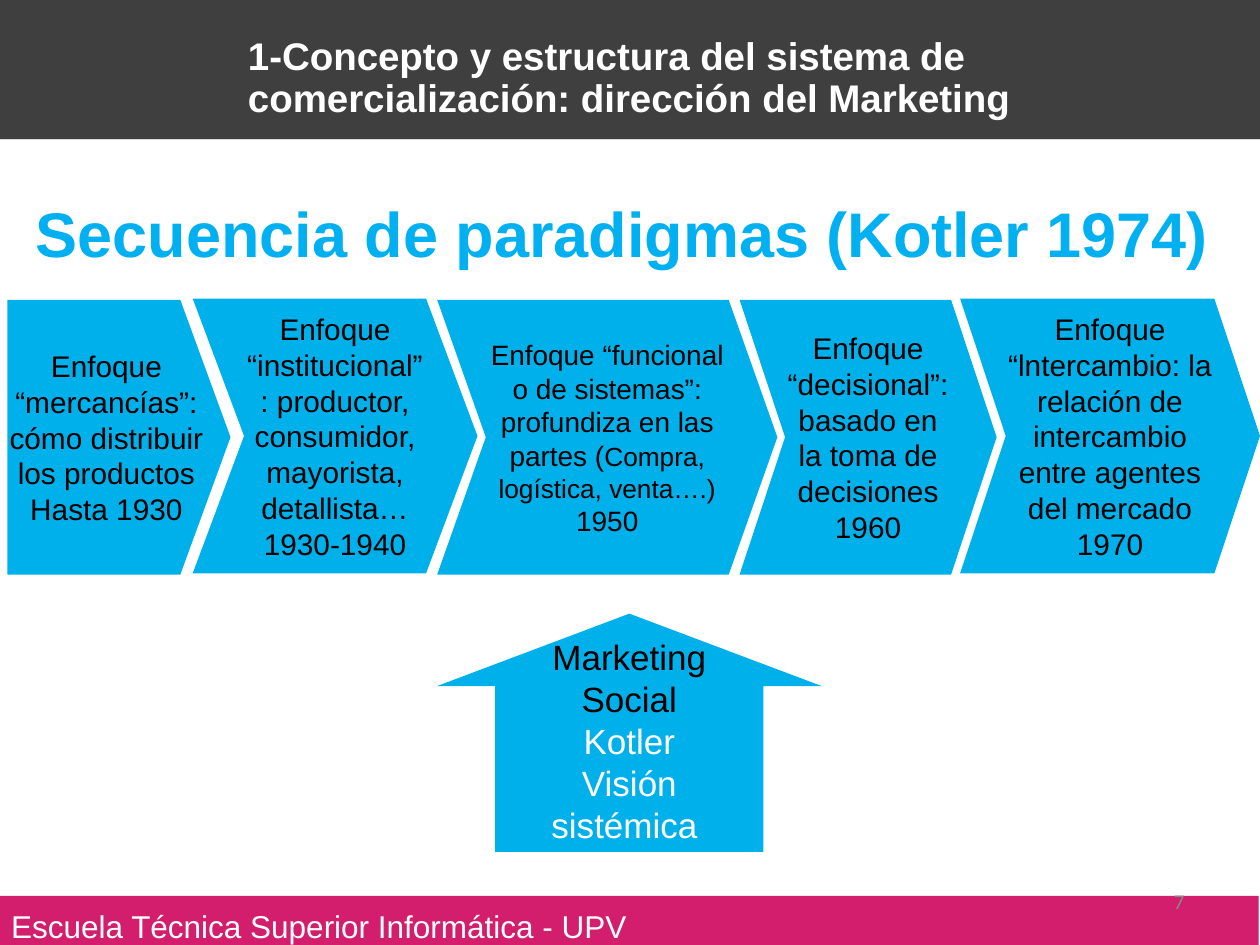
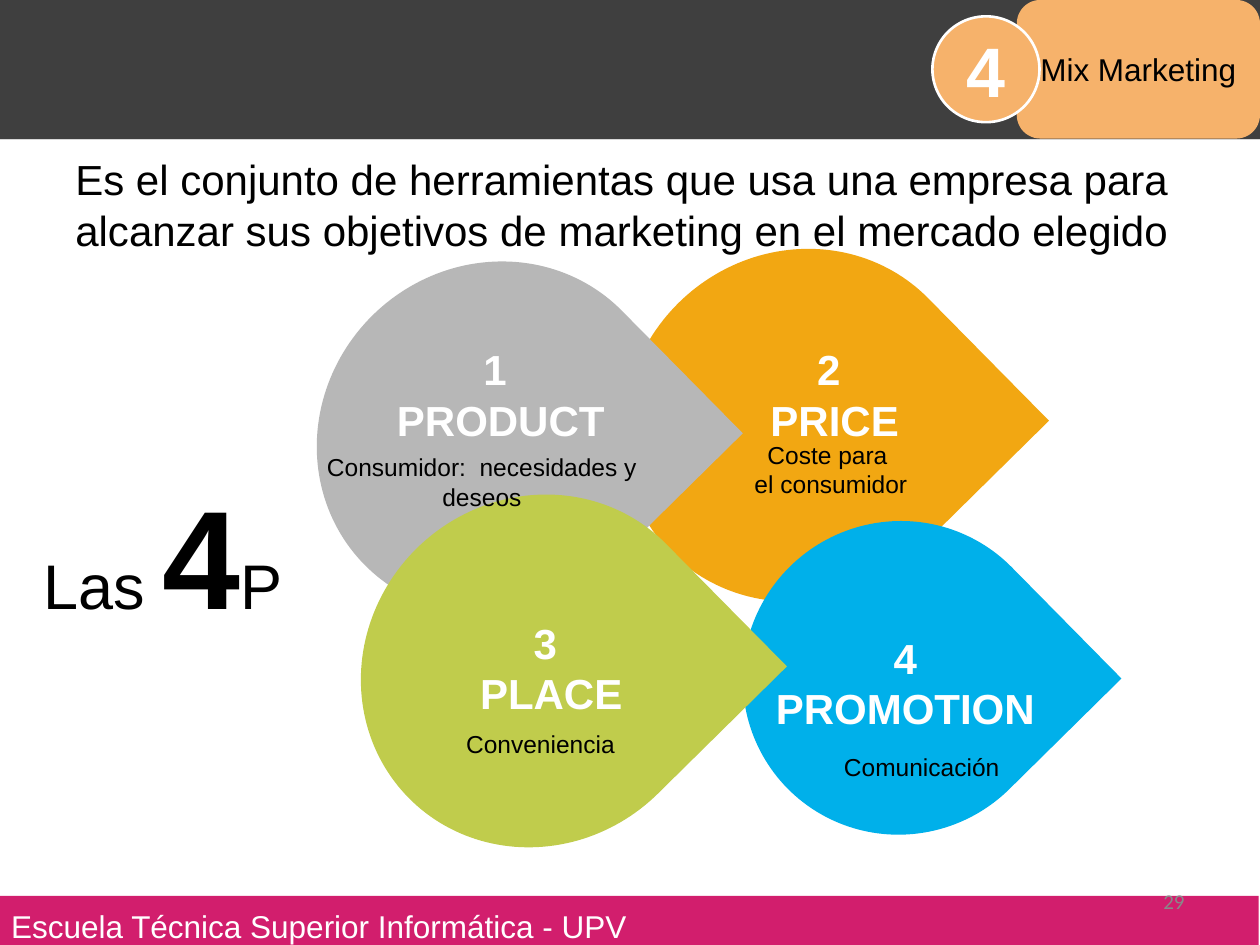
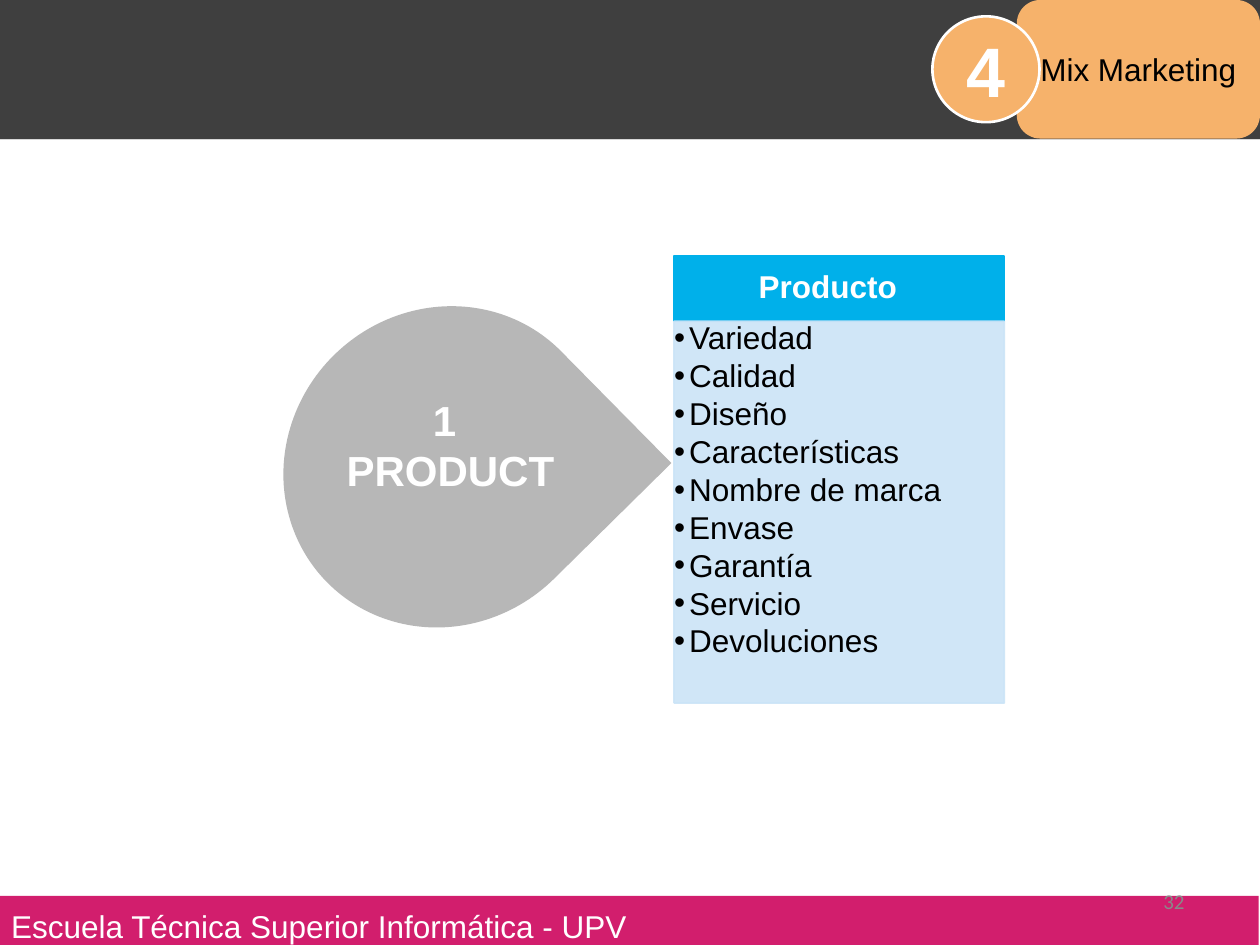
from dataclasses import dataclass
from typing import Any, NamedTuple, Optional

from lxml.etree import SubElement
from pptx import Presentation
from pptx.dml.color import RGBColor
from pptx.enum.shapes import MSO_CONNECTOR, MSO_SHAPE
from pptx.enum.text import MSO_ANCHOR, PP_ALIGN
from pptx.oxml.ns import qn
from pptx.util import Inches, Pt

# Grid: 100 columns by 75 rows
SLIDE_WIDTH, SLIDE_HEIGHT = Inches(10), Inches(7.5)
COLUMN, ROW = SLIDE_WIDTH / 100, SLIDE_HEIGHT / 75

COLORS = {
    "band": "3F3F3F", "rule": "D7D7D7", "footer": "D21E6D", "page": "898989",
    "white": "FFFFFF", "black": "000000", "title": "00B0F0", "blue": "00B0EA",
    "orange": "F2A712", "gray": "B7B7B7", "green": "C0CC4C",
    "badge": "F6B26B", "pale": "CBE4F7",
}


class Box(NamedTuple):
    left: float
    top: float
    width: float
    height: float

    def emu(self) -> tuple[int, ...]:
        units = (COLUMN, ROW, COLUMN, ROW)
        return tuple(round(value * unit) for value, unit in zip(self, units))


class Run(NamedTuple):
    text: str
    size: float
    color: str = "black"
    bold: bool = False
    font: str = "Arial"


Paragraph = list[Run]


@dataclass(frozen=True)
class TextStyle:
    align: Any = PP_ALIGN.CENTER
    anchor: Any = MSO_ANCHOR.TOP
    insets: tuple[float, float, float, float] = (1, 0.5, 1, 0.5)
    line_spacing: Optional[float] = None
    space_between: float = 0
    bullet: str = ""


CENTERED = TextStyle()
MIDDLE = TextStyle(anchor=MSO_ANCHOR.MIDDLE)
TIGHT = TextStyle(anchor=MSO_ANCHOR.MIDDLE, insets=(0, 0, 0, 0))
LEFT = TextStyle(align=PP_ALIGN.LEFT)
HEADING = TextStyle(anchor=MSO_ANCHOR.MIDDLE, line_spacing=0.9)


@dataclass(frozen=True)
class Stage:
    left: float
    top: float
    width: float
    point: float
    text: Paragraph
    years: Run
    outline: Any = MSO_SHAPE.CHEVRON


@dataclass(frozen=True)
class Drop:
    box: Box
    color: str


@dataclass(frozen=True)
class Label:
    box: Box
    number: str
    name: str


def rgb(name: str) -> RGBColor:
    return RGBColor.from_string(COLORS[name])


def apply_format(target: Any, values: dict[str, Any]) -> None:
    for name, value in values.items():
        setattr(target, name, value)


# Text
def add_bullet(paragraph: Any, symbol: str) -> None:
    properties = paragraph._p.get_or_add_pPr()
    properties.set("marL", str(round(1.2 * COLUMN)))
    properties.set("indent", str(round(-1.5 * COLUMN)))
    tint = SubElement(properties, qn("a:buClr"))
    SubElement(tint, qn("a:srgbClr")).set("val", COLORS["black"])
    SubElement(properties, qn("a:buFont")).set("typeface", "Arial")
    SubElement(properties, qn("a:buChar")).set("char", symbol)
    paragraph.level = 1


def write(frame: Any, paragraphs: list[Paragraph], style: TextStyle) -> None:
    left, top, right, bottom = style.insets
    apply_format(frame, {
        "word_wrap": True, "vertical_anchor": style.anchor,
        "margin_left": round(left * COLUMN), "margin_top": round(top * ROW),
        "margin_right": round(right * COLUMN), "margin_bottom": round(bottom * ROW),
    })
    for index, runs in enumerate(paragraphs):
        paragraph = frame.add_paragraph() if index else frame.paragraphs[0]
        if style.bullet:
            add_bullet(paragraph, style.bullet)
        apply_format(paragraph, {"alignment": style.align, "line_spacing": style.line_spacing})
        if index and style.space_between:
            paragraph.space_before = Pt(style.space_between)
        for run in runs:
            for number, line in enumerate(run.text.split("\n")):
                if number:
                    paragraph.add_line_break()
                piece = paragraph.add_run()
                piece.text = line
                apply_format(piece.font, {"size": Pt(run.size), "bold": run.bold, "name": run.font})
                piece.font.color.rgb = rgb(run.color)


def add_text(slide: Any, box: Box, paragraphs: list[Paragraph], style: TextStyle = CENTERED) -> None:
    write(slide.shapes.add_textbox(*box.emu()).text_frame, paragraphs, style)


# Shapes
def add_figure(slide: Any, outline: Any, box: Box, fill: str, adjustments: tuple[float, ...] = (),
               line: str = "", line_width: float = 1, rotation: float = 0) -> Any:
    figure = slide.shapes.add_shape(outline, *box.emu())
    figure.shadow.inherit = False
    figure.rotation = rotation
    figure.fill.solid()
    figure.fill.fore_color.rgb = rgb(fill)
    if line:
        figure.line.color.rgb = rgb(line)
        figure.line.width = Pt(line_width)
    else:
        figure.line.fill.background()
    for index, value in enumerate(adjustments):
        figure.adjustments[index] = value
    return figure


def set_opacity(figure: Any, percent: int) -> None:
    for tint in figure._element.spPr.iter(qn("a:srgbClr")):
        SubElement(tint, qn("a:alpha")).set("val", str(percent * 1000))


def add_drop(slide: Any, drop: Drop) -> None:
    add_figure(slide, MSO_SHAPE.TEAR, drop.box, drop.color, (1,), rotation=45.4)


def add_label(slide: Any, label: Label) -> None:
    add_text(slide, label.box, [[Run(text, 24, "white", True)] for text in (label.number, label.name)])


# Shared parts of every slide
def add_base(deck: Any, page: str) -> Any:
    slide = deck.slides.add_slide(deck.slide_layouts[6])
    slide.background.fill.solid()
    slide.background.fill.fore_color.rgb = rgb("white")
    add_figure(slide, MSO_SHAPE.RECTANGLE, Box(0, 0, 100, 11.1), "band")
    rule = slide.shapes.add_connector(
        MSO_CONNECTOR.STRAIGHT, 0, round(11.1 * ROW), SLIDE_WIDTH, round(11.1 * ROW))
    rule.line.color.rgb = rgb("rule")
    rule.line.width = Pt(0.75)
    SubElement(rule._element.spPr, qn("a:effectLst"))
    footer = add_figure(slide, MSO_SHAPE.RECTANGLE, Box(-0.1, 71.1, 100, 4.7), "footer")
    write(footer.text_frame, [[Run("Escuela Técnica Superior Informática - UPV", 18, "white")]],
          TextStyle(align=PP_ALIGN.LEFT, anchor=MSO_ANCHOR.MIDDLE, insets=(1, 1, 1, 1)))
    add_text(slide, Box(71.7, 69.5, 23.3, 4), [[Run(page, 12, "page", font="Calibri")]],
             TextStyle(align=PP_ALIGN.RIGHT, anchor=MSO_ANCHOR.MIDDLE))
    return slide


def add_section_badge(slide: Any) -> None:
    tab = add_figure(slide, MSO_SHAPE.ROUNDED_RECTANGLE, Box(80.7, 0, 19.3, 11), "badge", (0.17,))
    write(tab.text_frame, [[Run("Mix Marketing", 18)]], TIGHT)
    disc = add_figure(slide, MSO_SHAPE.OVAL, Box(74, 1.3, 8.5, 8.4), "badge",
                      line="white", line_width=1.5)
    write(disc.text_frame, [[Run("4", 40, "white", True)]], MIDDLE)


# Paradigm sequence
STAGES = [
    Stage(0.6, 23.8, 17.7, 0.225, [Run("Enfoque “mercancías”: cómo distribuir los productos", 17)],
          Run("Hasta 1930", 17), MSO_SHAPE.PENTAGON),
    Stage(15.3, 23.7, 22.6, 0.187,
          [Run("Enfoque “institucional”: productor, consumidor, mayorista, detallista…", 17)],
          Run("1930-1940", 17)),
    Stage(34.7, 23.8, 27, 0.177,
          [Run("Enfoque “funcional o de sistemas”: profundiza en las partes (", 16),
           Run("Compra, logística, venta….)", 15)],
          Run("1950", 16)),
    Stage(58.7, 23.8, 20.4, 0.177,
          [Run("Enfoque “decisional”: basado en la toma de decisiones", 17)], Run("1960", 17)),
    Stage(76.2, 23.7, 23.8, 0.166,
          [Run("Enfoque “lntercambio: la relación de intercambio entre agentes del mercado", 17)],
          Run("1970", 17)),
]


def build_paradigms(deck: Any) -> None:
    slide = add_base(deck, "7")
    add_text(slide, Box(18.7, 0.3, 75.3, 12),
             [[Run("1-Concepto y estructura del sistema de comercialización: dirección del Marketing",
                   22, "white", True)]],
             TextStyle(align=PP_ALIGN.LEFT, anchor=MSO_ANCHOR.MIDDLE, line_spacing=0.9))
    add_text(slide, Box(0, 12.9, 98.8, 11.8),
             [[Run("Secuencia de paradigmas (Kotler 1974)", 36, "title", True)]], HEADING)
    for stage in STAGES:
        arrow = add_figure(slide, stage.outline, Box(stage.left, stage.top, stage.width, 21.8),
                           "blue", (stage.point,))
        write(arrow.text_frame, [stage.text, [stage.years]], TIGHT)
    social = add_figure(slide, MSO_SHAPE.UP_ARROW, Box(34.7, 48.7, 30.5, 18.9), "blue", (0.698, 0.304))
    write(social.text_frame,
          [[Run("Marketing Social", 20)], [Run("Kotler", 20, "white")],
           [Run("Visión sistémica ", 20, "white")]],
          TextStyle(anchor=MSO_ANCHOR.BOTTOM))


# The four Ps
DROPS = [
    Drop(Box(49.8, 19.4, 27.3, 28.7), "orange"),
    Drop(Box(59, 41.3, 24.8, 25), "blue"),
    Drop(Box(25.5, 20.4, 27.3, 28.7), "gray"),
    Drop(Box(29, 38.9, 27.3, 28.7), "green"),
]
LABELS = [
    Label(Box(29.1, 26.8, 21.3, 9.5), "1 ", "PRODUCT"),
    Label(Box(55.6, 26.8, 21.3, 9.5), "2 ", "PRICE"),
    Label(Box(33.1, 48.5, 21.3, 9.5), "3 ", "PLACE"),
    Label(Box(57.6, 49.7, 28.5, 9.5), "4", "PROMOTION"),
]
CONSUMER_VIEWS = [
    (Box(24, 35.4, 28.5, 5), "Consumidor:  necesidades y deseos"),
    (Box(55.3, 34.4, 21.3, 9), "Coste para \nel consumidor"),
    (Box(59.2, 59.2, 27.9, 5), "Comunicación"),
    (Box(30.4, 57.4, 25, 4.7), "Conveniencia"),
]


def build_four_ps(deck: Any) -> None:
    slide = add_base(deck, "29")
    for drop in DROPS:
        add_drop(slide, drop)
    for label in LABELS:
        add_label(slide, label)
    add_text(slide, Box(2.5, 36.8, 21.5, 14.5),
             [[Run("Las ", 36), Run("4", 80, bold=True), Run("P", 36)]], LEFT)
    add_section_badge(slide)
    add_text(slide, Box(5, 11.7, 90, 9.5),
             [[Run("Es el conjunto de herramientas que usa una empresa para alcanzar "
                   "sus objetivos de marketing en el mercado elegido", 24)]], LEFT)
    for box, view in CONSUMER_VIEWS:
        add_text(slide, box, [[Run(view, 14)]])


# Product
PRODUCT_FEATURES = ["Variedad", "Calidad", "Diseño", "Características", "Nombre de marca",
                    "Envase", "Garantía", "Servicio", "Devoluciones"]


def build_product(deck: Any) -> None:
    slide = add_base(deck, "32")
    add_section_badge(slide)
    add_drop(slide, Drop(Box(22.8, 24, 24.9, 26.1), "gray"))
    add_label(slide, Label(Box(25.1, 30.8, 21.3, 9.5), "1 ", "PRODUCT"))
    add_figure(slide, MSO_SHAPE.RECTANGLE, Box(53.5, 20.3, 26.2, 5.2), "blue", line="blue")
    add_text(slide, Box(53.5, 20.3, 24.4, 5.2), [[Run("Producto", 18, "white", True)]],
             TextStyle(anchor=MSO_ANCHOR.MIDDLE, insets=(1.2, 0.7, 1.2, 0.7), line_spacing=0.9))
    panel = add_figure(slide, MSO_SHAPE.RECTANGLE, Box(53.5, 25.5, 26.2, 30.3), "pale", line="pale")
    set_opacity(panel, 90)
    add_text(slide, Box(53.5, 25.5, 24.9, 30.3), [[Run(feature, 18)] for feature in PRODUCT_FEATURES],
             TextStyle(align=PP_ALIGN.LEFT, insets=(0, 0.1, 0, 0.5), line_spacing=0.9,
                       space_between=2.2, bullet="•"))


def main() -> None:
    deck = Presentation()
    apply_format(deck, {"slide_width": SLIDE_WIDTH, "slide_height": SLIDE_HEIGHT})
    for build in (build_paradigms, build_four_ps, build_product):
        build(deck)
    deck.save("out.pptx")


if __name__ == "__main__":
    main()
